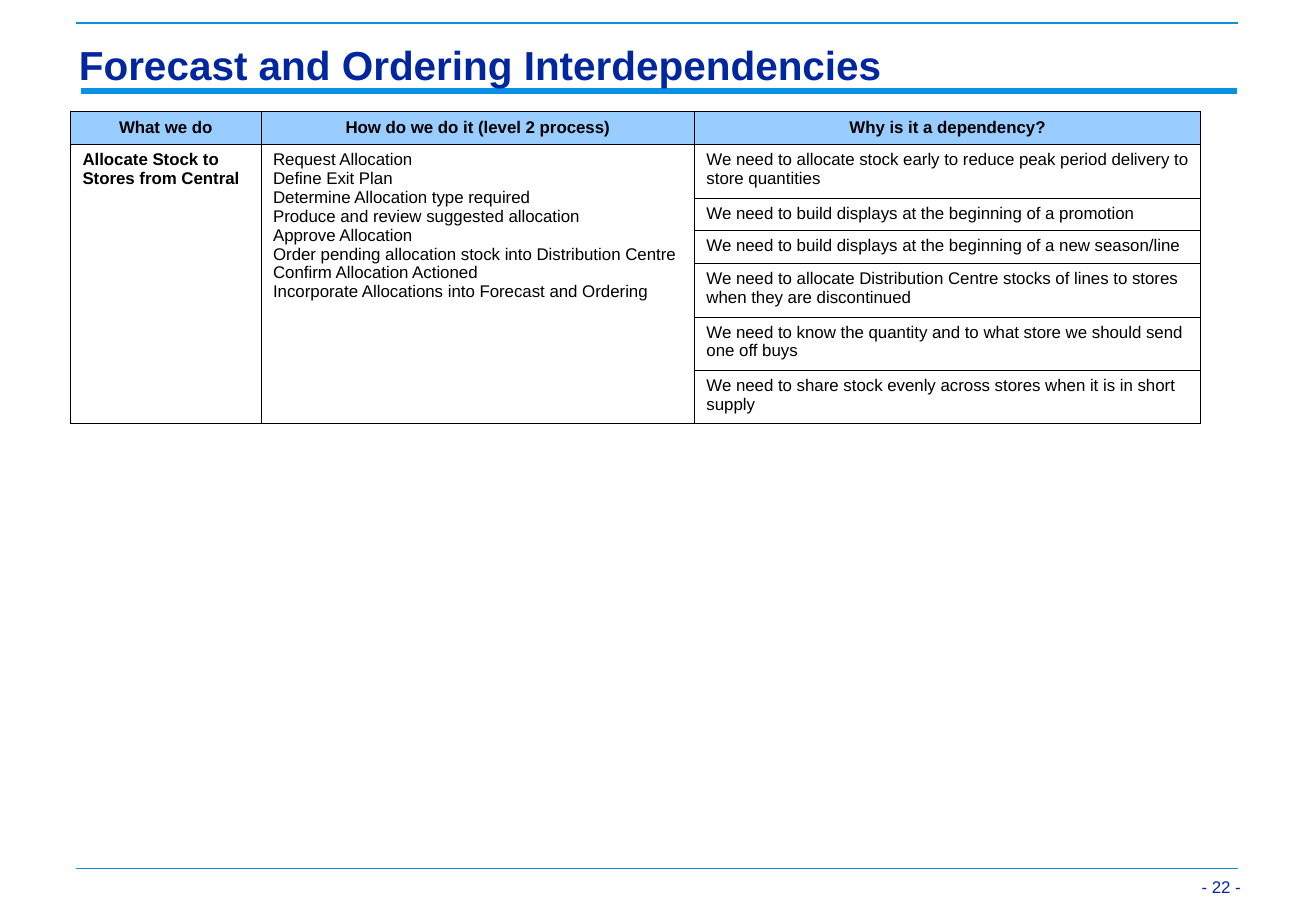
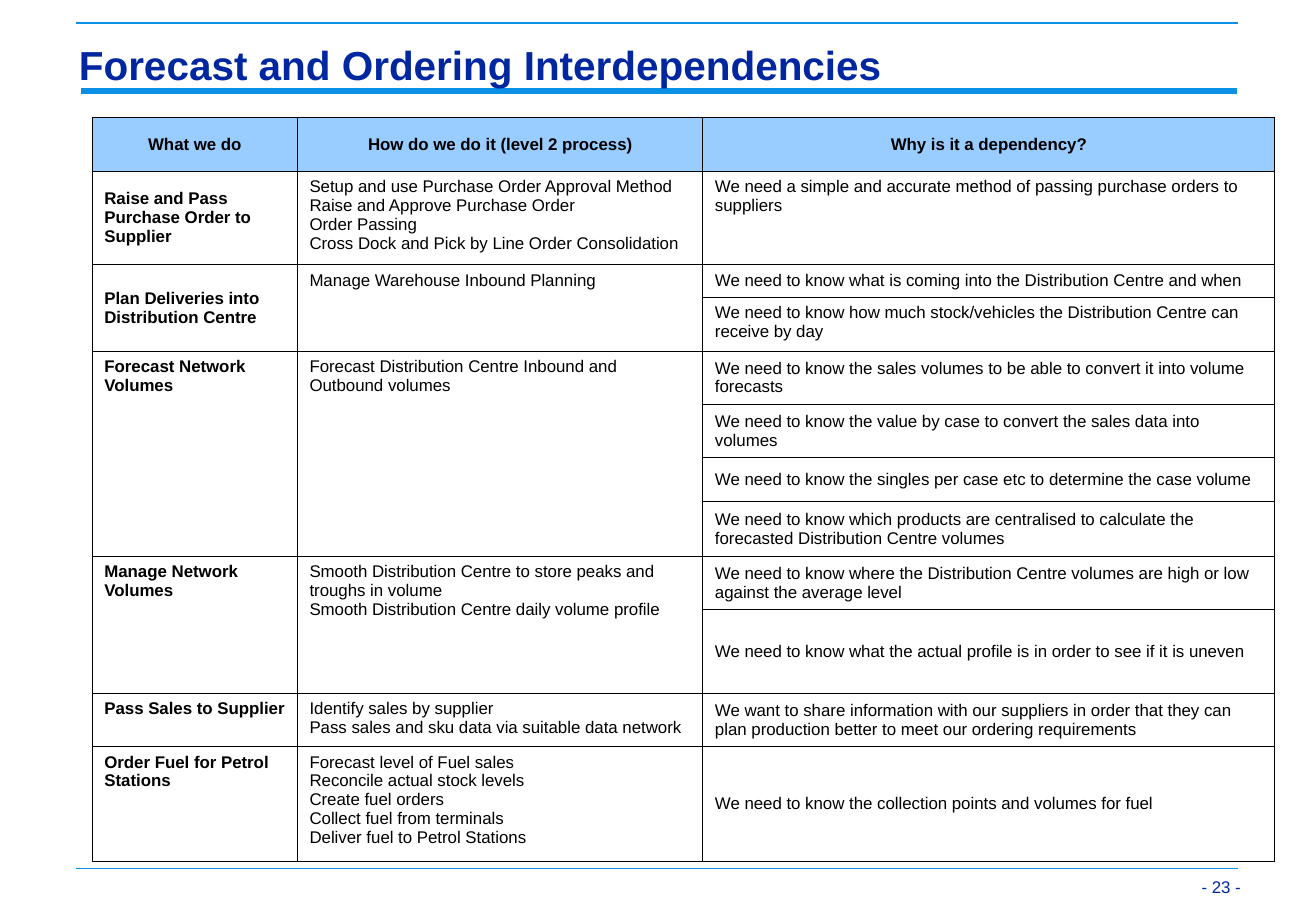
from lxml import etree
from pptx import Presentation
from pptx import util as u
from pptx.dml.color import RGBColor
from pptx.enum import shapes, text
from pptx.oxml import parse_xml
from pptx.oxml.ns import nsdecls, qn

COLORS = {"title": "00279F", "rule": "0A91E6", "header": "99CCFF", "ink": "000000"}
FONT = "Arial"
GRID = u.Inches(0.1)  # one grid unit, for columns and rows alike
TOP, MIDDLE, BOTTOM = (
    text.MSO_ANCHOR.TOP, text.MSO_ANCHOR.MIDDLE, text.MSO_ANCHOR.BOTTOM)
LEFT, CENTER, RIGHT = text.PP_ALIGN.LEFT, text.PP_ALIGN.CENTER, text.PP_ALIGN.RIGHT

TITLE = "Forecast and Ordering Interdependencies"
HEADERS = ["What we do", "How do we do it (level 2 process)", "Why is it a dependency?"]

# Rules as (left, right, row, weight); boxes as left, top, width, height
RULES = [(6.7, 101.9, 7.5, 4), (6.3, 102, 1.9, 1), (6.3, 102, 71.5, 1)]
TITLE_BOX = (5.8, 3.3, 96.3, 4.4)
NUMBER_BOX = (96.9, 70.2, 6, 3.9)
TITLE_FORMAT = {"size": u.Pt(24), "bold": True}
PLAIN_FORMAT = {"size": u.Pt(10), "bold": False}
BOLD_FORMAT = {"size": u.Pt(10), "bold": True}

# A group is: what, its anchor, how, anchor of the reasons, [(row height, reason)]
PAGES = [
    {
        "number": 22, "at": (5.8, 9.2), "columns": [15.7, 35.7, 41.7], "header": 2.7,
        "groups": [
            ("Allocate Stock to Stores from Central", TOP,
             ["Request Allocation",
              "Define Exit Plan",
              "Determine Allocation type required",
              "Produce and review suggested allocation",
              "Approve Allocation",
              "Order pending allocation stock into Distribution Centre",
              "Confirm Allocation Actioned",
              "Incorporate Allocations into Forecast and Ordering"], TOP,
             [(4.4, "We need to allocate stock early to reduce peak period delivery "
                    "to store quantities"),
              (2.7, "We need to build displays at the beginning of a promotion"),
              (2.7, "We need to build displays at the beginning of a new season/line"),
              (4.4, "We need to allocate Distribution Centre stocks of lines to stores "
                    "when they are discontinued"),
              (4.4, "We need to know the quantity and to what store we should send "
                    "one off buys"),
              (4.4, "We need to share stock evenly across stores when it is in short "
                    "supply")]),
        ],
    },
    {
        "number": 23, "at": (7.6, 9.7), "columns": [16.9, 33.4, 47.1], "header": 4.4,
        "groups": [
            ("Raise and Pass Purchase Order to Supplier", MIDDLE,
             ["Setup and use Purchase Order Approval Method",
              "Raise and Approve Purchase Order",
              "Order Passing",
              "Cross Dock and Pick by Line Order Consolidation"], TOP,
             [(7.7, "We need a simple and accurate method of passing purchase orders "
                    "to suppliers")]),
            ("Plan Deliveries into Distribution Centre", MIDDLE,
             ["Manage Warehouse Inbound Planning"], TOP,
             [(2.7, "We need to know what is coming into the Distribution Centre and when"),
              (4.4, "We need to know how much stock/vehicles the Distribution Centre can "
                    "receive by day")]),
            ("Forecast Network Volumes", TOP,
             ["Forecast Distribution Centre Inbound and Outbound volumes"], MIDDLE,
             [(4.4, "We need to know the sales volumes to be able to convert it into "
                    "volume forecasts"),
              (4.4, "We need to know the value by case to convert the sales data into "
                    "volumes"),
              (3.6, "We need to know the singles per case etc to determine the case volume"),
              (4.5, "We need to know which products are centralised to calculate the "
                    "forecasted Distribution Centre volumes")]),
            ("Manage Network Volumes", TOP,
             ["Smooth Distribution Centre to store peaks and troughs in volume",
              "Smooth Distribution Centre daily volume profile"], MIDDLE,
             [(4.4, "We need to know where the Distribution Centre volumes are high or low "
                    "against the average level"),
              (6.9, "We need to know what the actual profile is in order to see if it is "
                    "uneven")]),
            ("Pass Sales to Supplier", TOP,
             ["Identify sales by supplier",
              "Pass sales and sku data via suitable data network"], MIDDLE,
             [(4.4, "We want to share information with our suppliers in order that they can "
                    "plan production better to meet our ordering requirements")]),
            ("Order Fuel for Petrol Stations", TOP,
             ["Forecast level of Fuel sales",
              "Reconcile actual stock levels",
              "Create fuel orders",
              "Collect fuel from terminals",
              "Deliver fuel to Petrol Stations"], MIDDLE,
             [(9.4, "We need to know the collection points and volumes for fuel")]),
        ],
    },
]


def grid(*counts):
    """Turn counts of grid units into lengths."""
    return [u.Emu(round(count * GRID)) for count in counts]


def write(frame, lines, font_format, color="ink", align=LEFT):
    """Fill a text frame with one paragraph for each line."""
    frame.text = "\n".join(lines)
    for paragraph in frame.paragraphs:
        paragraph.alignment = align
        for run in paragraph.runs:
            run.font.name = FONT
            run.font.color.rgb = RGBColor.from_string(COLORS[color])
            for name, value in font_format.items():
                setattr(run.font, name, value)


presentation = Presentation()
presentation.slide_width, presentation.slide_height = grid(108.4, 75)

for page in PAGES:
    slide = presentation.slides.add_slide(presentation.slide_layouts[6])

    for left, right, row, weight in RULES:
        rule = slide.shapes.add_connector(
            shapes.MSO_CONNECTOR.STRAIGHT, *grid(left, row, right, row))
        rule.line.color.rgb = RGBColor.from_string(COLORS["rule"])
        rule.line.width = u.Pt(weight)
        etree.SubElement(rule._element.spPr, qn("a:effectLst"))

    for box, line, font_format, align in [
        (NUMBER_BOX, f"- {page['number']} -", PLAIN_FORMAT, RIGHT),
        (TITLE_BOX, TITLE, TITLE_FORMAT, LEFT),
    ]:
        frame = slide.shapes.add_textbox(*grid(*box)).text_frame
        frame.word_wrap = True
        frame.vertical_anchor = BOTTOM
        frame.margin_left, frame.margin_right = grid(0.7, 0.7)
        frame.margin_top, frame.margin_bottom = grid(0.3, 0.3)
        write(frame, [line], font_format, "title", align)
        if line == TITLE:
            frame.paragraphs[0].line_spacing = 0.97

    heights = [page["header"]]
    for group in page["groups"]:
        heights += [height for height, reason in group[-1]]
    table = slide.shapes.add_table(
        len(heights), len(HEADERS),
        *grid(*page["at"], sum(page["columns"]), sum(heights))).table
    table.first_row = table.horz_banding = False
    for column, width in zip(table.columns, grid(*page["columns"])):
        column.width = width
    for row, height in zip(table.rows, grid(*heights)):
        row.height = height

    for cell in table.iter_cells():
        for side in "LRTB":
            cell._tc.get_or_add_tcPr().append(parse_xml(
                f'<a:ln{side} {nsdecls("a")} w="{u.Pt(0.45)}"><a:solidFill>'
                f'<a:srgbClr val="{COLORS["ink"]}"/></a:solidFill></a:ln{side}>'))
        cell.fill.background()

    for index, header in enumerate(HEADERS):
        cell = table.cell(0, index)
        cell.fill.solid()
        cell.fill.fore_color.rgb = RGBColor.from_string(COLORS["header"])
        cell.vertical_anchor = MIDDLE
        write(cell.text_frame, [header], BOLD_FORMAT, align=CENTER)

    first = 1
    for what, what_anchor, how, why_anchor, reasons in page["groups"]:
        last = first + len(reasons) - 1
        for index, lines, font_format, anchor in [
            (0, [what], BOLD_FORMAT, what_anchor), (1, how, PLAIN_FORMAT, TOP),
        ]:
            cell = table.cell(first, index)
            if last > first:
                cell.merge(table.cell(last, index))
            cell.vertical_anchor = anchor
            write(cell.text_frame, lines, font_format)
        for row_index, (height, reason) in enumerate(reasons, first):
            cell = table.cell(row_index, 2)
            cell.vertical_anchor = why_anchor
            write(cell.text_frame, [reason], PLAIN_FORMAT)
        first = last + 1

presentation.save("out.pptx")
